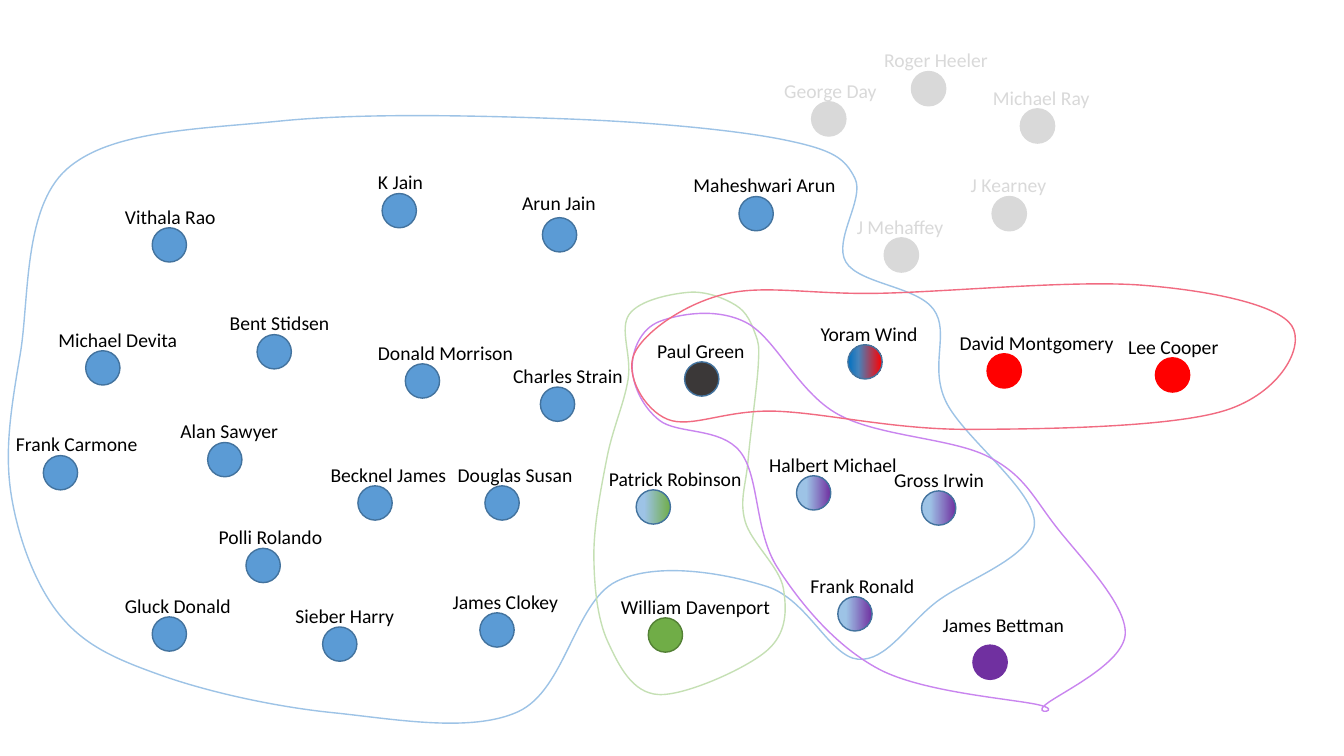
from copy import deepcopy
from dataclasses import dataclass

from lxml import etree
from pptx import Presentation
from pptx.dml.color import RGBColor
from pptx.enum.shapes import MSO_SHAPE
from pptx.enum.text import MSO_AUTO_SIZE
from pptx.oxml.ns import qn
from pptx.util import Cm, Pt

OVAL = MSO_SHAPE.OVAL
GROW = MSO_AUTO_SIZE.SHAPE_TO_FIT_TEXT

BLACK = RGBColor(0x00, 0x00, 0x00)
CHARCOAL = RGBColor(0x3B, 0x38, 0x38)
GRAY = RGBColor(0xD9, 0xD9, 0xD9)
BLUE = RGBColor(0x5B, 0x9B, 0xD5)
DEEP_BLUE = RGBColor(0x00, 0x70, 0xC0)
MID_BLUE = RGBColor(0x45, 0x83, 0xBB)
EDGE_BLUE = RGBColor(0x43, 0x73, 0x9E)
LIGHT_BLUE = RGBColor(0x9D, 0xC3, 0xE6)
GREEN = RGBColor(0x70, 0xAD, 0x47)
EDGE_GREEN = RGBColor(0x53, 0x80, 0x35)
LIGHT_GREEN = RGBColor(0xC5, 0xE0, 0xB4)
PURPLE = RGBColor(0x70, 0x30, 0xA0)
LIGHT_PURPLE = RGBColor(0xC9, 0x85, 0xEF)
RED = RGBColor(0xFF, 0x00, 0x00)
LIGHT_RED = RGBColor(0xF1, 0x6B, 0x81)

DOT = 0.34
LABEL_HEIGHT = 0.34
Point = tuple[float, float]


@dataclass(frozen=True)
class Style:
    """Gradient stops (one stop means a solid fill), outline and label colour."""
    stops: tuple[tuple[int, RGBColor], ...]
    edge: RGBColor = EDGE_BLUE
    text: RGBColor = BLACK


@dataclass(frozen=True)
class Person:
    """Dot position, label width and label offset from the dot, in inches."""
    name: str
    x: float
    y: float
    width: float
    style: Style
    dx: float = -0.37
    dy: float = -0.28


@dataclass(frozen=True)
class Community:
    """Closed smooth outline through the given points, in inches."""
    color: RGBColor
    points: tuple[Point, ...]


def blend(middle: int, end: RGBColor) -> Style:
    return Style(((0, LIGHT_BLUE), (middle, LIGHT_BLUE), (100, end)))


CENTER = Style(((0, CHARCOAL),))
MEMBER = Style(((0, BLUE),))
GREEN_MEMBER = Style(((0, GREEN),), EDGE_GREEN)
PURPLE_MEMBER = Style(((0, PURPLE),), PURPLE)
RED_MEMBER = Style(((0, RED),), RED)
OUTSIDER = Style(((0, GRAY),), GRAY, GRAY)
BLUE_RED = Style(((0, DEEP_BLUE), (31, MID_BLUE), (100, RED)))
BLUE_PURPLE = blend(24, PURPLE)
BLUE_GREEN = blend(24, GREEN)

COMMUNITIES = (
    Community(LIGHT_BLUE, (
        (9.38, 3.98), (9.26, 3.07), (8.39, 2.6), (8.48, 1.77), (7.79, 1.39),
        (5.63, 1.18), (2.79, 1.2), (0.66, 1.68), (0.2, 3.52), (0.11, 4.9),
        (0.6, 6.11), (1.6, 6.7), (3.3, 7.07), (5.14, 7.06), (6.11, 5.77),
        (7.61, 5.82), (8.51, 6.54), (9.29, 5.97), (10.26, 5.2))),
    Community(LIGHT_GREEN, (
        (6.03, 6.37), (6.53, 6.89), (7.6, 6.46), (7.77, 5.84), (7.39, 5.17),
        (7.42, 4.56), (7.52, 3.63), (7.49, 3.31), (7.3, 3.03), (6.83, 2.9),
        (6.24, 3.12), (6.23, 3.76), (6.02, 4.54), (5.89, 5.51))),
    Community(LIGHT_PURPLE, (
        (10.29, 6.99), (10.37, 6.99), (11.16, 6.29), (10.47, 5.22), (9.8, 4.53),
        (8.31, 4.11), (7.4, 3.2), (6.54, 3.19), (6.27, 3.64), (6.54, 4.17),
        (7.34, 4.48), (7.71, 5.63), (8.72, 6.64))),
    Community(LIGHT_RED, (
        (7.18, 2.92), (6.29, 3.51), (6.62, 4.16), (7.69, 4.08), (9.6, 4.26),
        (12.16, 4.07), (12.81, 3.23), (11.33, 2.83), (8.73, 2.91))),
)

PEOPLE = (
    Person("Paul Green", 6.79, 3.59, 1.08, CENTER),
    Person("Becknel James", 3.55, 4.82, 1.36, MEMBER),
    Person("Donald Morrison", 4.02, 3.61, 1.56, MEMBER),
    Person("K Jain", 3.79, 1.92, 0.65, MEMBER, dx=-0.14),
    Person("Halbert Michael", 7.9, 4.72, 1.48, blend(29, PURPLE)),
    Person("Charles Strain", 5.36, 3.84, 1.3, MEMBER),
    Person("Bent Stidsen", 2.55, 3.32, 1.2, MEMBER),
    Person("Alan Sawyer", 2.06, 4.39, 1.18, MEMBER),
    Person("Gross Irwin", 9.14, 4.87, 1.1, BLUE_PURPLE),
    Person("Gluck Donald", 1.51, 6.12, 1.26, MEMBER),
    Person("Frank Ronald", 8.31, 5.92, 1.24, BLUE_PURPLE),
    Person("Douglas Susan", 4.81, 4.82, 1.35, MEMBER),
    Person("Maheshwari Arun", 7.33, 1.95, 1.63, MEMBER, dx=-0.55),
    Person("Arun Jain", 5.38, 2.16, 0.94, MEMBER, dx=-0.3, dy=-0.32),
    Person("Patrick Robinson", 6.31, 4.86, 1.53, BLUE_GREEN),
    Person("Polli Rolando", 2.44, 5.44, 1.24, MEMBER),
    Person("Sieber Harry", 3.2, 6.22, 1.19, MEMBER),
    Person("Yoram Wind", 8.41, 3.42, 1.17, BLUE_RED),
    Person("James Clokey", 4.76, 6.08, 1.26, MEMBER),
    Person("Frank Carmone", 0.43, 4.52, 1.42, MEMBER),
    Person("Michael Devita", 0.85, 3.48, 1.4, MEMBER),
    Person("Vithala Rao", 1.51, 2.26, 1.11, MEMBER),
    Person("James Bettman", 9.65, 6.4, 1.42, PURPLE_MEMBER, dx=-0.4, dy=-0.37),
    Person("William Davenport", 6.43, 6.13, 1.7, GREEN_MEMBER),
    Person("David Montgomery", 9.79, 3.51, 1.74, RED_MEMBER),
    Person("Lee Cooper", 11.46, 3.55, 1.11, RED_MEMBER),
    Person("J Mehaffey", 8.77, 2.36, 1.07, OUTSIDER),
    Person("Roger Heeler", 9.04, 0.71, 1.24, OUTSIDER),
    Person("J Kearney", 9.84, 1.95, 0.96, OUTSIDER, dx=-0.31),
    Person("George Day", 8.05, 1.01, 1.13, OUTSIDER),
    Person("Michael Ray", 10.12, 1.08, 1.17, OUTSIDER),
)


def cm(inches: float) -> Cm:
    return Cm(inches * 2.54)


def set_line(sp, color: RGBColor) -> None:
    sp.shadow.inherit = False
    sp.line.color.rgb = color
    sp.line.width = Pt(1)


def add_community(shapes, community: Community) -> None:
    points = [(cm(x), cm(y)) for x, y in community.points]
    builder = shapes.build_freeform(*points[0])
    builder.add_line_segments(points[1:] + points[:1], close=True)
    sp = builder.convert_to_shape()
    sp.fill.background()
    set_line(sp, community.color)
    # Bend each side: a tangent is parallel to the chord of the neighbours
    left, top = sp.left, sp.top
    sides = sp._element.xpath(".//a:path/a:lnTo")
    for i, side in enumerate(sides):
        a, b, c, d = (points[(i + k) % len(points)] for k in (-1, 0, 1, 2))
        leave = [q + (r - p) / 6 for p, q, r in zip(a, b, c)]
        arrive = [q - (r - p) / 6 for p, q, r in zip(b, c, d)]
        curve = etree.Element(qn("a:cubicBezTo"))
        for x, y in (leave, arrive, c):
            etree.SubElement(curve, qn("a:pt"), x=str(round(x - left)), y=str(round(y - top)))
        side.getparent().replace(side, curve)


def add_dot(shapes, x: float, y: float, style: Style) -> None:
    sp = shapes.add_shape(OVAL, cm(x), cm(y), cm(DOT), cm(DOT))
    set_line(sp, style.edge)
    if len(style.stops) == 1:
        sp.fill.solid()
        sp.fill.fore_color.rgb = style.stops[0][1]
        return
    sp.fill.gradient()
    sp.fill.gradient_angle = 0
    # The default gradient has two stops; a third goes between them
    first = sp._element.spPr.xpath("./a:gradFill/a:gsLst/a:gs")[0]
    first.addnext(deepcopy(first))
    for stop, (position, color) in zip(sp.fill.gradient_stops, style.stops):
        stop.position = position / 100
        stop.color.rgb = color


def add_text(shapes, text: str, *, x: float, y: float, width: float,
             color: RGBColor, size: int = 14, font: str = "Calibri") -> None:
    tf = shapes.add_textbox(cm(x), cm(y), cm(width), cm(LABEL_HEIGHT)).text_frame
    tf.word_wrap, tf.auto_size = False, GROW
    r = tf.paragraphs[0].add_run()
    r.text = text
    r.font.name, r.font.size = font, Pt(size)
    r.font.color.rgb = color


prs = Presentation()
prs.slide_width, prs.slide_height = cm(13.33), cm(7.5)
s = prs.slides.add_slide(prs.slide_layouts[6])

# Community outlines
for community in COMMUNITIES:
    add_community(s.shapes, community)

# People: a dot and a name
for person in PEOPLE:
    add_dot(s.shapes, person.x, person.y, person.style)
    add_text(s.shapes, person.name, x=person.x + person.dx,
             y=person.y + person.dy, width=person.width, color=person.style.text)

prs.save("out.pptx")
